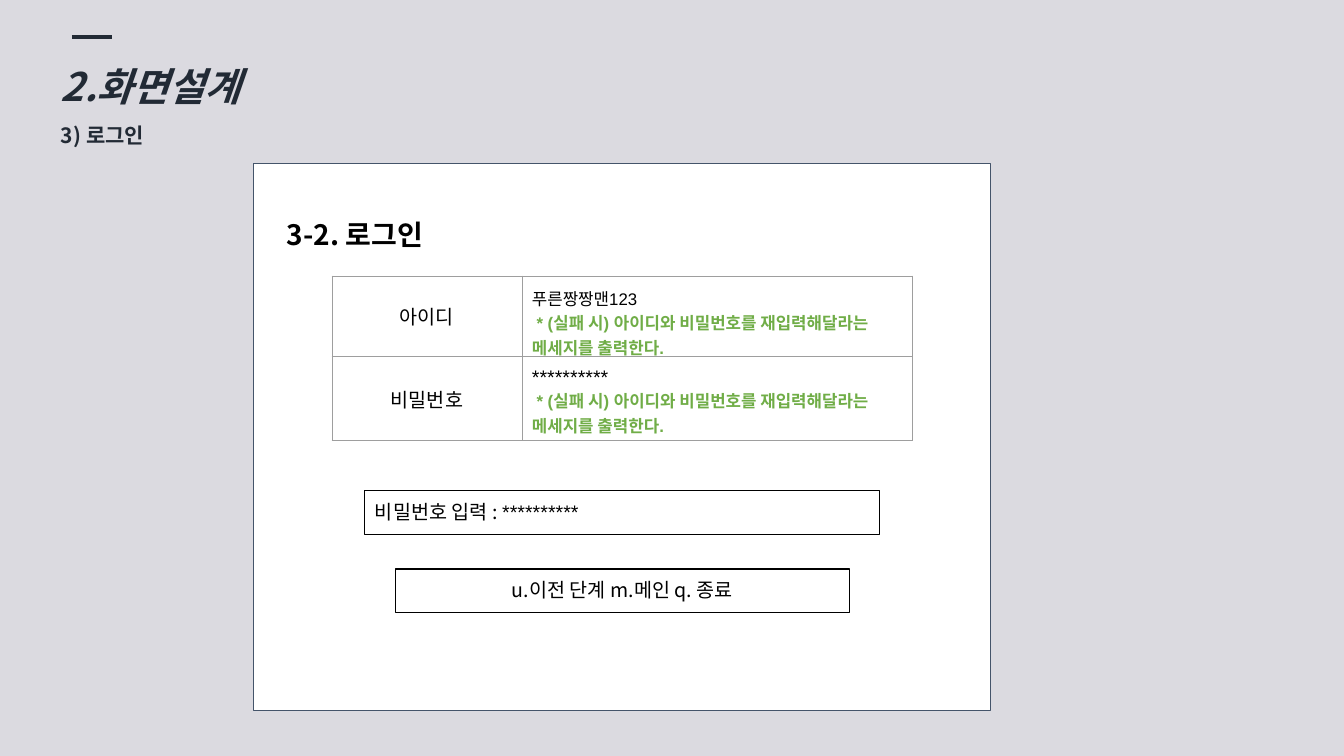
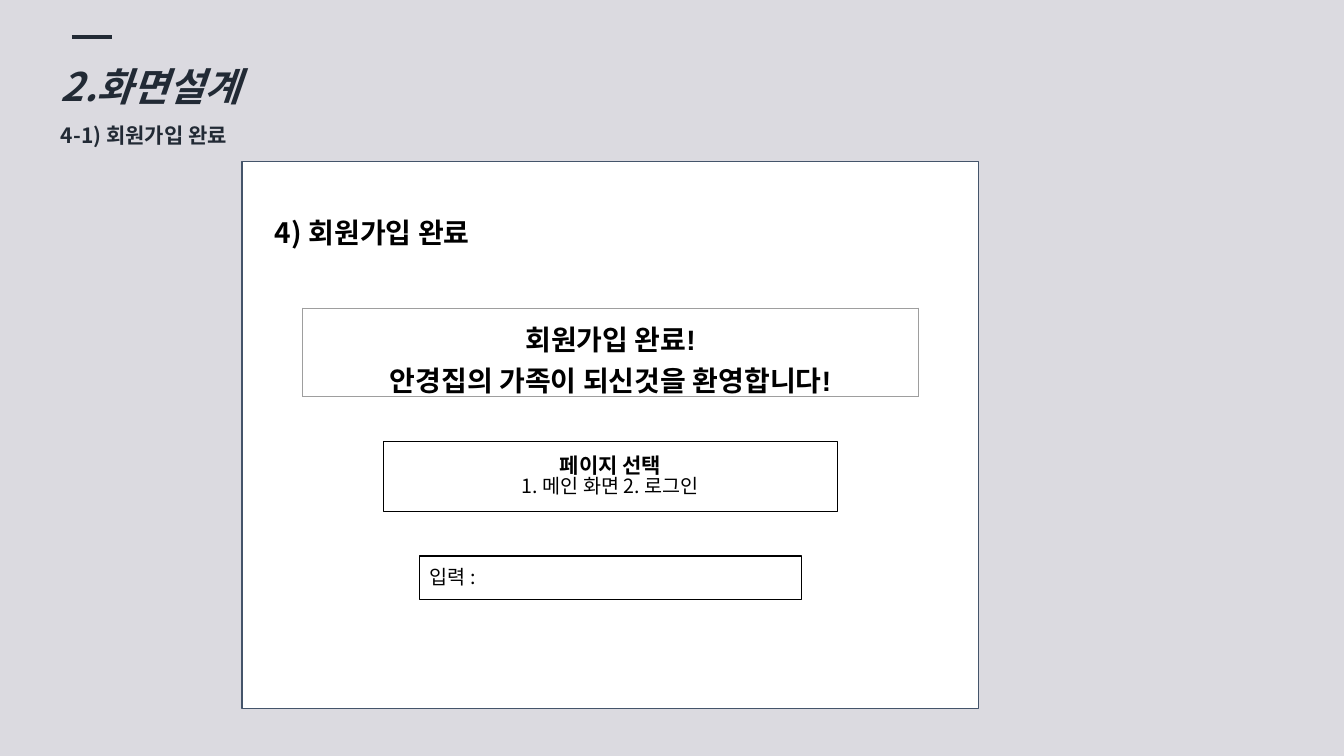
"""Build two screen-design slides: log-in and completed sign-up."""
from dataclasses import dataclass, field

import lxml.etree
import pptx
import pptx.dml.color
import pptx.enum.shapes
import pptx.enum.text
import pptx.oxml.ns
import pptx.util

EMU_PER_PX = 914400 / 100.8
ALIGN = pptx.enum.text.PP_ALIGN
ANCHOR = pptx.enum.text.MSO_ANCHOR
RECTANGLE = pptx.enum.shapes.MSO_SHAPE.RECTANGLE


@dataclass(frozen=True)
class Theme:
    """Colours, fonts and sizes shared by the slides."""
    background: str = "DBDAE0"
    ink: str = "222A35"
    black: str = "000000"
    white: str = "FFFFFF"
    card_edge: str = "44546A"
    grid: str = "9E9E9E"
    note: str = "70AD47"
    sans: str = "Noto Sans CJK KR"
    latin: str = "Arial"
    title_size: int = 28
    heading_size: int = 20
    subtitle_size: int = 15
    body_size: int = 14
    note_size: int = 12
    hairline: float = 0.75
    accent_line: float = 3
    inset: int = 10
    tight_spacing: float = 0.85


THEME = Theme()


@dataclass(frozen=True)
class Span:
    """A run of text with one format."""
    text: str
    size: int = THEME.body_size
    font: str = THEME.sans
    color: str = THEME.black
    bold: bool = False
    italic: bool = False


@dataclass(frozen=True)
class Line:
    """A paragraph whose segments are separated by line breaks."""
    segments: list[list[Span]]
    align: ALIGN = ALIGN.LEFT
    spacing: float = 1.0


@dataclass(frozen=True)
class Entry:
    """A table cell with the far corner of its merge."""
    row: int
    column: int
    end_row: int
    end_column: int
    line: Line
    anchor: ANCHOR = ANCHOR.TOP


@dataclass(frozen=True)
class Grid:
    """A table centred on the card."""
    top: int
    columns: list[int]
    rows: list[int]
    entries: list[Entry]


@dataclass(frozen=True)
class Prompt:
    """An outlined console box centred on the card."""
    top: int
    width: int
    height: int
    lines: list[Line]


@dataclass(frozen=True)
class Screen:
    """The content of one slide."""
    subtitle: str
    heading: str
    card_left: int
    card_top: int
    grid: Grid
    prompts: list[Prompt] = field(default_factory=list)


CARD_WIDTH, CARD_HEIGHT = 737, 547


def px(length: float) -> int:
    """Turn pixels into EMU."""
    return round(length * EMU_PER_PX)


def rgb(color: str) -> pptx.dml.color.RGBColor:
    """Turn a hex string into a colour."""
    return pptx.dml.color.RGBColor.from_string(color)


def apply(target, values: dict) -> None:
    """Set each named attribute on the target."""
    for name, value in values.items():
        setattr(target, name, value)


def add_span(paragraph, span: Span) -> None:
    """Append a formatted run to a paragraph."""
    run = paragraph.add_run()
    run.text = span.text
    apply(run.font, {"size": pptx.util.Pt(span.size), "name": span.font,
                     "bold": span.bold, "italic": span.italic})
    run.font.color.rgb = rgb(span.color)
    properties = run._r.get_or_add_rPr()
    east_asian = lxml.etree.SubElement(properties, pptx.oxml.ns.qn("a:ea"))
    east_asian.set("typeface", THEME.sans)


def write(frame, lines: list[Line]) -> None:
    """Fill a text frame with paragraphs."""
    for index, line in enumerate(lines):
        paragraph = frame.add_paragraph() if index else frame.paragraphs[0]
        apply(paragraph, {"alignment": line.align, "line_spacing": line.spacing})
        for number, spans in enumerate(line.segments):
            if number:
                paragraph.add_line_break()
            for span in spans:
                add_span(paragraph, span)


def set_frame(frame, vertical: int, anchor: ANCHOR) -> None:
    """Set wrapping, anchor and insets of a text frame."""
    apply(frame, {"word_wrap": True, "vertical_anchor": anchor,
                  "margin_left": px(THEME.inset), "margin_right": px(THEME.inset),
                  "margin_top": px(vertical), "margin_bottom": px(vertical)})


def add_text(shapes, box: tuple[int, int, int, int], lines: list[Line],
             vertical: int, anchor: ANCHOR) -> None:
    """Add a wrapped text box."""
    frame = shapes.add_textbox(*map(px, box)).text_frame
    set_frame(frame, vertical, anchor)
    write(frame, lines)


def add_rectangle(shapes, box: tuple[float, float, float, float], edge: str, fill: str = ""):
    """Add an outlined rectangle, filled if a colour is given."""
    rectangle = shapes.add_shape(RECTANGLE, *map(px, box))
    rectangle.shadow.inherit = False
    if fill:
        rectangle.fill.solid()
        rectangle.fill.fore_color.rgb = rgb(fill)
    else:
        rectangle.fill.background()
    rectangle.line.color.rgb = rgb(edge)
    rectangle.line.width = pptx.util.Pt(THEME.hairline)
    return rectangle


def add_title(slide, subtitle: str) -> None:
    """Add the background, accent line and titles."""
    slide.background.fill.solid()
    slide.background.fill.fore_color.rgb = rgb(THEME.background)
    title = Span("2.화면설계", THEME.title_size, color=THEME.ink, bold=True, italic=True)
    section = Span(subtitle, THEME.subtitle_size, color=THEME.ink, bold=True)
    add_text(slide.shapes, (51, 34, 433, 115),
             [Line([[span]], spacing=1.5) for span in (title, section)], 5, ANCHOR.TOP)
    accent = slide.shapes.add_connector(
        pptx.enum.shapes.MSO_CONNECTOR.STRAIGHT, px(72), px(37), px(112), px(37))
    accent.line.color.rgb = rgb(THEME.ink)
    accent.line.width = pptx.util.Pt(THEME.accent_line)
    lxml.etree.SubElement(accent._element.spPr, pptx.oxml.ns.qn("a:effectLst"))


def add_card(slide, screen: Screen) -> None:
    """Add the white card grouped with its heading."""
    members = slide.shapes.add_group_shape().shapes
    left, top = screen.card_left, screen.card_top
    add_rectangle(members, (left, top, CARD_WIDTH, CARD_HEIGHT), THEME.card_edge, THEME.white)
    heading = Span(screen.heading, THEME.heading_size, bold=True)
    add_text(members, (left + 23, top + 46, 454, 54),
             [Line([[heading]], spacing=THEME.tight_spacing)], THEME.inset, ANCHOR.MIDDLE)


def style_cell(cell) -> None:
    """Clear a cell's fill and draw its four borders."""
    apply(cell, {f"margin_{side}": px(THEME.inset) for side in ("left", "right", "top", "bottom")})
    properties = cell._tc.get_or_add_tcPr()
    for side in ("lnL", "lnR", "lnT", "lnB"):
        border = lxml.etree.SubElement(properties, pptx.oxml.ns.qn(f"a:{side}"))
        border.set("w", str(int(pptx.util.Pt(THEME.hairline))))
        paint = lxml.etree.SubElement(border, pptx.oxml.ns.qn("a:solidFill"))
        lxml.etree.SubElement(paint, pptx.oxml.ns.qn("a:srgbClr")).set("val", THEME.grid)
    cell.fill.background()


def add_grid(slide, grid: Grid, center: float) -> None:
    """Add a table with merged cells."""
    width = sum(grid.columns)
    table = slide.shapes.add_table(
        len(grid.rows), len(grid.columns), px(center - width / 2), px(grid.top),
        px(width), px(sum(grid.rows))).table
    apply(table, {"first_row": False, "horz_banding": False})
    for column, size in zip(table.columns, grid.columns):
        column.width = px(size)
    for row, size in zip(table.rows, grid.rows):
        row.height = px(size)
    for cell in table.iter_cells():
        style_cell(cell)
    for entry in grid.entries:
        cell = table.cell(entry.row, entry.column)
        if (entry.row, entry.column) != (entry.end_row, entry.end_column):
            cell.merge(table.cell(entry.end_row, entry.end_column))
        cell.vertical_anchor = entry.anchor
        write(cell.text_frame, [entry.line])


def add_prompt(slide, prompt: Prompt, center: float) -> None:
    """Add an outlined console box."""
    box = (center - prompt.width / 2, prompt.top, prompt.width, prompt.height)
    frame = add_rectangle(slide.shapes, box, THEME.black).text_frame
    set_frame(frame, THEME.inset, ANCHOR.MIDDLE)
    write(frame, prompt.lines)


def prompt_line(*spans: Span, align: ALIGN = ALIGN.LEFT) -> Line:
    """Make a tightly spaced console line."""
    return Line([list(spans)], align, THEME.tight_spacing)


def field_row(row: int, label: str, value: str, value_size: int) -> list[Entry]:
    """Make the label and value cells of a log-in field."""
    failure = Span(" * (실패 시) 아이디와 비밀번호를 재입력해달라는 메세지를 출력한다.",
                   THEME.note_size, THEME.latin, THEME.note, True)
    return [
        Entry(row, 0, row, 0, Line([[Span(label, font=THEME.latin)]], ALIGN.CENTER), ANCHOR.MIDDLE),
        Entry(row, 1, row, 2, Line([[Span(value, value_size, THEME.latin)], [failure]])),
    ]


MASK = "**********"
WELCOME = [[Span(text, THEME.heading_size, THEME.latin, bold=True)]
           for text in ("회원가입 완료!", "안경집의 가족이 되신것을 환영합니다!")]
SCREENS = [
    Screen("3) 로그인", "3-2. 로그인", 254, 164,
           Grid(276, [190, 104, 287], [80, 84],
                field_row(0, "아이디", "푸른짱짱맨123", THEME.note_size)
                + field_row(1, "비밀번호", MASK, THEME.body_size)),
           [Prompt(569, 454, 44, [prompt_line(Span("u.이전 단계 m.메인 q. 종료"),
                                              align=ALIGN.CENTER)]),
            Prompt(491, 515, 44, [prompt_line(Span("비밀번호 입력 : "),
                                              Span(MASK, font=THEME.latin))])]),
    Screen("4-1) 회원가입 완료", "4) 회원가입 완료", 242, 162,
           Grid(308, [202, 110, 304], [32, 56],
                [Entry(0, 0, 1, 2, Line(WELCOME, ALIGN.CENTER))]),
           [Prompt(442, 454, 70, [
               prompt_line(Span("페이지 선택", THEME.subtitle_size, THEME.latin, bold=True),
                           align=ALIGN.CENTER),
               prompt_line(Span("1. 메인 화면 2. 로그인"), align=ALIGN.CENTER)]),
            Prompt(556, 382, 44, [prompt_line(Span("입력 :"))])]),
]


def main() -> None:
    """Build and save the presentation."""
    deck = pptx.Presentation()
    apply(deck, {"slide_width": px(1344), "slide_height": px(756)})
    for screen in SCREENS:
        slide = deck.slides.add_slide(deck.slide_layouts[6])
        center = screen.card_left + CARD_WIDTH / 2
        add_title(slide, screen.subtitle)
        add_card(slide, screen)
        add_grid(slide, screen.grid, center)
        for prompt in screen.prompts:
            add_prompt(slide, prompt, center)
    deck.save("out.pptx")


if __name__ == "__main__":
    main()
